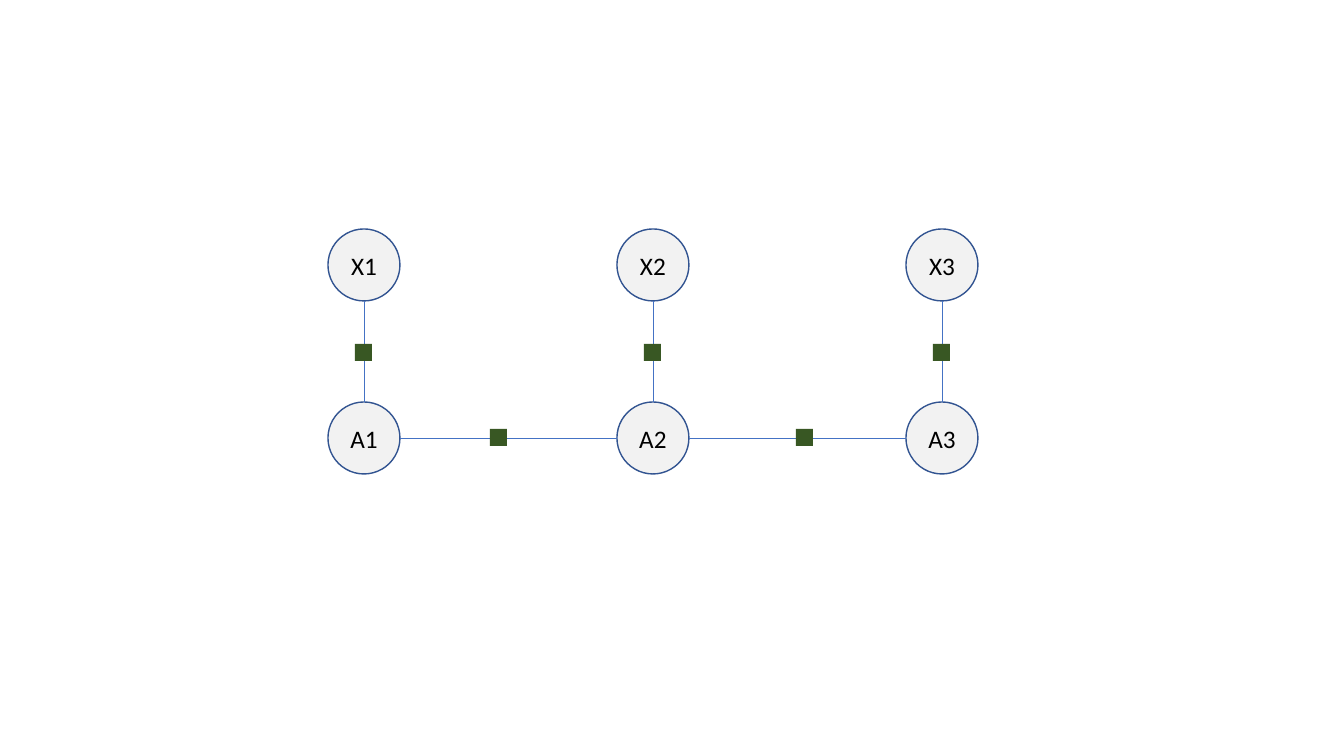
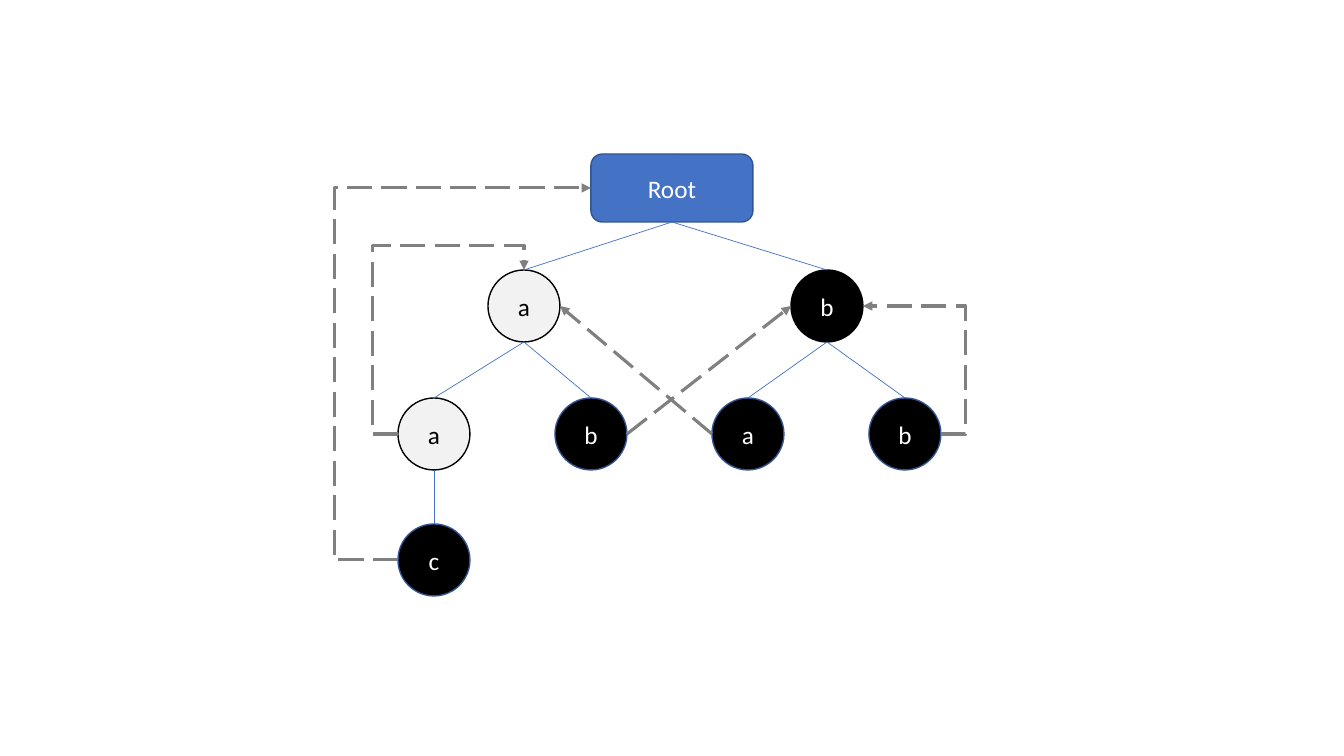
from lxml import etree
from pptx import Presentation
from pptx.dml.color import RGBColor
from pptx.enum.dml import MSO_LINE
from pptx.enum.shapes import MSO_CONNECTOR, MSO_SHAPE
from pptx.oxml.ns import qn
from pptx.util import Pt

OVAL, RECT, ROUND = MSO_SHAPE.OVAL, MSO_SHAPE.RECTANGLE, MSO_SHAPE.ROUNDED_RECTANGLE
LINE, ELBOW = MSO_CONNECTOR.STRAIGHT, MSO_CONNECTOR.ELBOW
DASH = MSO_LINE.LONG_DASH
PX = 914400 / 100.8
BLUE, NAVY, GREEN = "4472C4", "325491", "385723"
PALE, GREY, BLACK, WHITE = "F2F2F2", "808080", "000000", "FFFFFF"
SIZE, RAD, DOT = 72, 36, 17
color = RGBColor.from_string


def node(slide, kind, box, fill, edge=None, text="", ink=BLACK):
    shape = slide.shapes.add_shape(kind, *[round(v * PX) for v in box])
    shape.shadow.inherit = False
    shape.fill.solid()
    shape.fill.fore_color.rgb = color(fill)
    if edge:
        shape.line.color.rgb = color(edge)
        shape.line.width = Pt(1)
    else:
        shape.line.fill.background()
    if text:
        para = shape.text_frame.paragraphs[0]
        para.text = text
        para.font.name = "Calibri"
        para.font.size = Pt(18)
        para.font.color.rgb = color(ink)


def link(slide, ends, arrow=False, bends=()):
    kind = ELBOW if bends else LINE
    wire = slide.shapes.add_connector(kind, *[round(v * PX) for v in ends])
    wire.line.color.rgb = color(GREY if arrow else BLUE)
    wire.line.width = Pt(2.25 if arrow else 0.5)
    props = wire._element.spPr
    etree.SubElement(props, qn("a:effectLst"))
    if arrow:
        wire.line.dash_style = DASH
        etree.SubElement(props.find(qn("a:ln")), qn("a:tailEnd"), type="triangle")
    if bends:
        geom = props.find(qn("a:prstGeom"))
        geom.set("prst", f"bentConnector{len(bends) + 2}")
        guides = geom.find(qn("a:avLst"))
        for i, bend in enumerate(bends, 1):
            etree.SubElement(guides, qn("a:gd"), name=f"adj{i}",
                             fmla=f"val {round(bend * 100000)}")


deck = Presentation()
deck.slide_width, deck.slide_height = round(1344 * PX), round(756 * PX)
blank = deck.slide_layouts[6]

chain = deck.slides.add_slide(blank)
cols = [364 + 289 * i for i in range(3)]
top, base = 265, 438
for name, y in (("X", top), ("A", base)):
    for i, x in enumerate(cols, 1):
        node(chain, OVAL, (x - RAD, y - RAD, SIZE, SIZE), PALE, NAVY, f"{name}{i}")
for x in cols:
    link(chain, (x, base - RAD, x, top + RAD))
for x, end in zip(cols, cols[1:]):
    link(chain, (x + RAD, base, end - RAD, base))
dots = [(x - 9, 344) for x in cols] + [(490, 429), (796, 429)]
for x, y in dots:
    node(chain, RECT, (x, y, DOT, DOT), GREEN)

tree = deck.slides.add_slide(blank)
node(tree, ROUND, (591, 154, 162, 68), BLUE, NAVY, "Root", WHITE)
high, mid, low = 306, 434, 560
leaf = [434 + 157 * i for i in range(4)]
left, right = 524, 827
nodes = [
    (left, high, "a", PALE, BLACK, BLACK),
    (leaf[0], mid, "a", PALE, BLACK, BLACK),
    (leaf[1], mid, "b", BLACK, NAVY, WHITE),
    (right, high, "b", BLACK, BLACK, WHITE),
    (leaf[0], low, "c", BLACK, NAVY, WHITE),
    (leaf[2], mid, "a", BLACK, NAVY, WHITE),
    (leaf[3], mid, "b", BLACK, NAVY, WHITE),
]
for x, y, text, fill, edge, ink in nodes:
    node(tree, OVAL, (x - RAD, y - RAD, SIZE, SIZE), fill, edge, text, ink)

for x, kids in ((left, leaf[:2]), (right, leaf[2:])):
    link(tree, (672, 222, x, high - RAD))
    for kid in kids:
        link(tree, (x, high + RAD, kid, mid - RAD))
link(tree, (leaf[0], mid + RAD, leaf[0], low - RAD))

jumps = [
    ((leaf[0] - RAD, low, 591, 188), (-0.33,)),
    ((leaf[0] - RAD, mid, left, high - RAD), (-0.2, 1.15)),
    ((leaf[2] - RAD, mid, left + RAD, high), ()),
    ((leaf[1] + RAD, mid, right - RAD, high), ()),
    ((leaf[3] + RAD, mid, right + RAD, high), (-0.32,)),
]
for ends, bends in jumps:
    link(tree, ends, True, bends)

deck.save("out.pptx")
